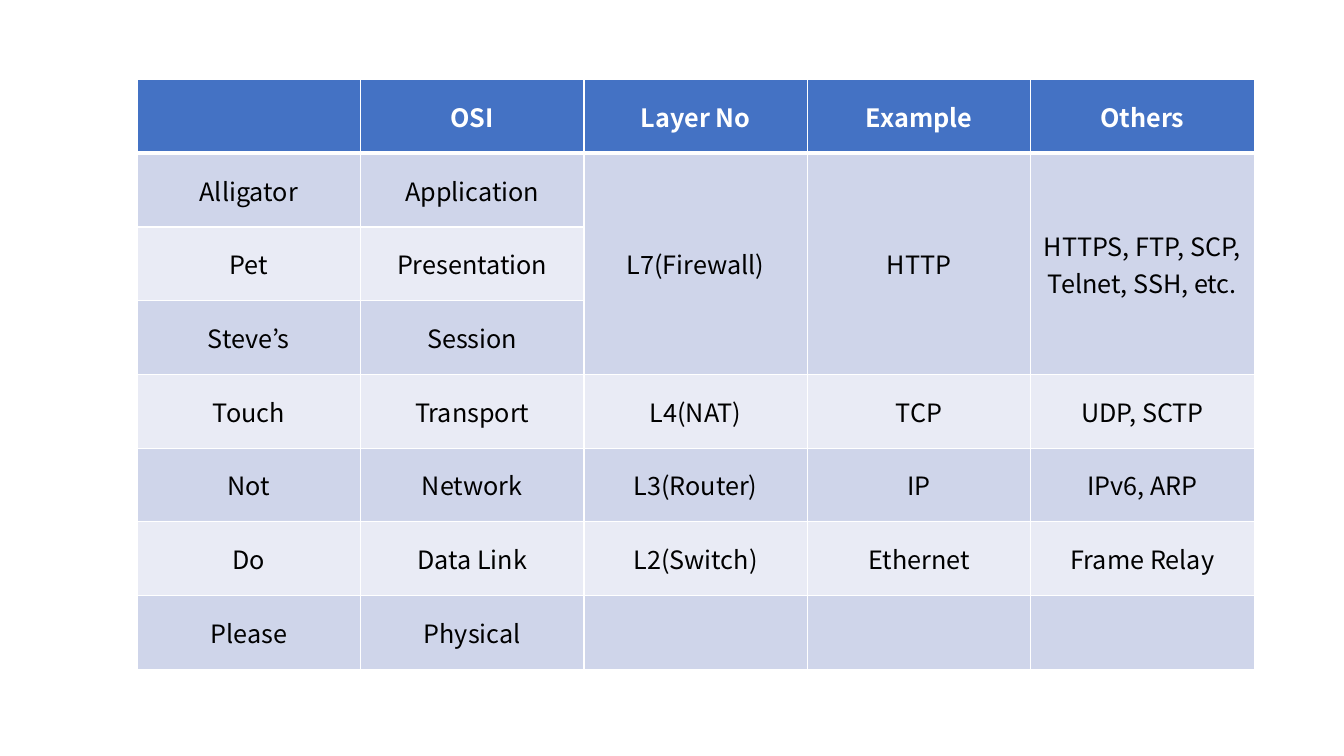
from lxml import etree
from pptx import Presentation
from pptx.dml.color import RGBColor
from pptx.enum import text
from pptx.oxml import ns
from pptx.util import Inches, Pt


def color(hex_code):
    return RGBColor.from_string(hex_code)


class SlideBuilder:
    font = "Noto Sans CJK KR"
    size = Pt(18)
    white, black = "FFFFFF", "000000"
    header_fill = "4472C4"
    bands = ("CFD5EA", "E9EBF5")
    thin, thick = Pt(1), Pt(3)

    def __init__(self, slide):
        self.slide = slide

    def table(self, rows, left, top, width, height):
        frame = self.slide.shapes.add_table(
            len(rows), len(rows[0]), left, top, width, height)
        grid = frame.table
        # None continues the cell above
        for c in range(len(rows[0])):
            for r, row in enumerate(rows):
                if row[c] is None:
                    continue
                end = r
                while end + 1 < len(rows) and rows[end + 1][c] is None:
                    end += 1
                if end > r:
                    grid.cell(r, c).merge(grid.cell(end, c))
                self.cell(grid.cell(r, c), row[c], r)
        return grid

    def cell(self, cell, label, row):
        header = row == 0
        cell.fill.solid()
        fill = self.header_fill if header else self.bands[(row - 1) % 2]
        cell.fill.fore_color.rgb = color(fill)
        self.borders(cell, top=self.thick if row == 1 else self.thin,
                     bottom=self.thick if header else self.thin)
        cell.vertical_anchor = text.MSO_ANCHOR.MIDDLE
        paragraph = cell.text_frame.paragraphs[0]
        paragraph.alignment = text.PP_ALIGN.CENTER
        if label:
            run = paragraph.add_run()
            run.text = label
            run.font.name = self.font
            run.font.size = self.size
            run.font.bold = header
            run.font.color.rgb = color(self.white if header else self.black)

    def borders(self, cell, top, bottom):
        properties = cell._tc.get_or_add_tcPr()
        widths = {"L": self.thin, "R": self.thin, "T": top, "B": bottom}
        # Border lines must come before the fill
        for position, (side, width) in enumerate(widths.items()):
            line = etree.Element(ns.qn(f"a:ln{side}"), w=str(int(width)))
            solid = etree.SubElement(line, ns.qn("a:solidFill"))
            etree.SubElement(solid, ns.qn("a:srgbClr"), val=self.white)
            properties.insert(position, line)


# Slide
deck = Presentation()
deck.slide_width, deck.slide_height = Inches(13.33), Inches(7.5)
builder = SlideBuilder(deck.slides.add_slide(deck.slide_layouts[6]))

# OSI layers with their mnemonic
osi_layers = [
    ("", "OSI", "Layer No", "Example", "Others"),
    ("Alligator", "Application", "L7(Firewall)", "HTTP",
     "HTTPS, FTP, SCP, Telnet, SSH, etc."),
    ("Pet", "Presentation", None, None, None),
    ("Steve’s", "Session", None, None, None),
    ("Touch", "Transport", "L4(NAT)", "TCP", "UDP, SCTP"),
    ("Not", "Network", "L3(Router)", "IP", "IPv6, ARP"),
    ("Do", "Data Link", "L2(Switch)", "Ethernet", "Frame Relay"),
    ("Please", "Physical", "", "", ""),
]
builder.table(osi_layers, Inches(1.36), Inches(0.79),
              Inches(11.08), Inches(5.85))

deck.save("out.pptx")
